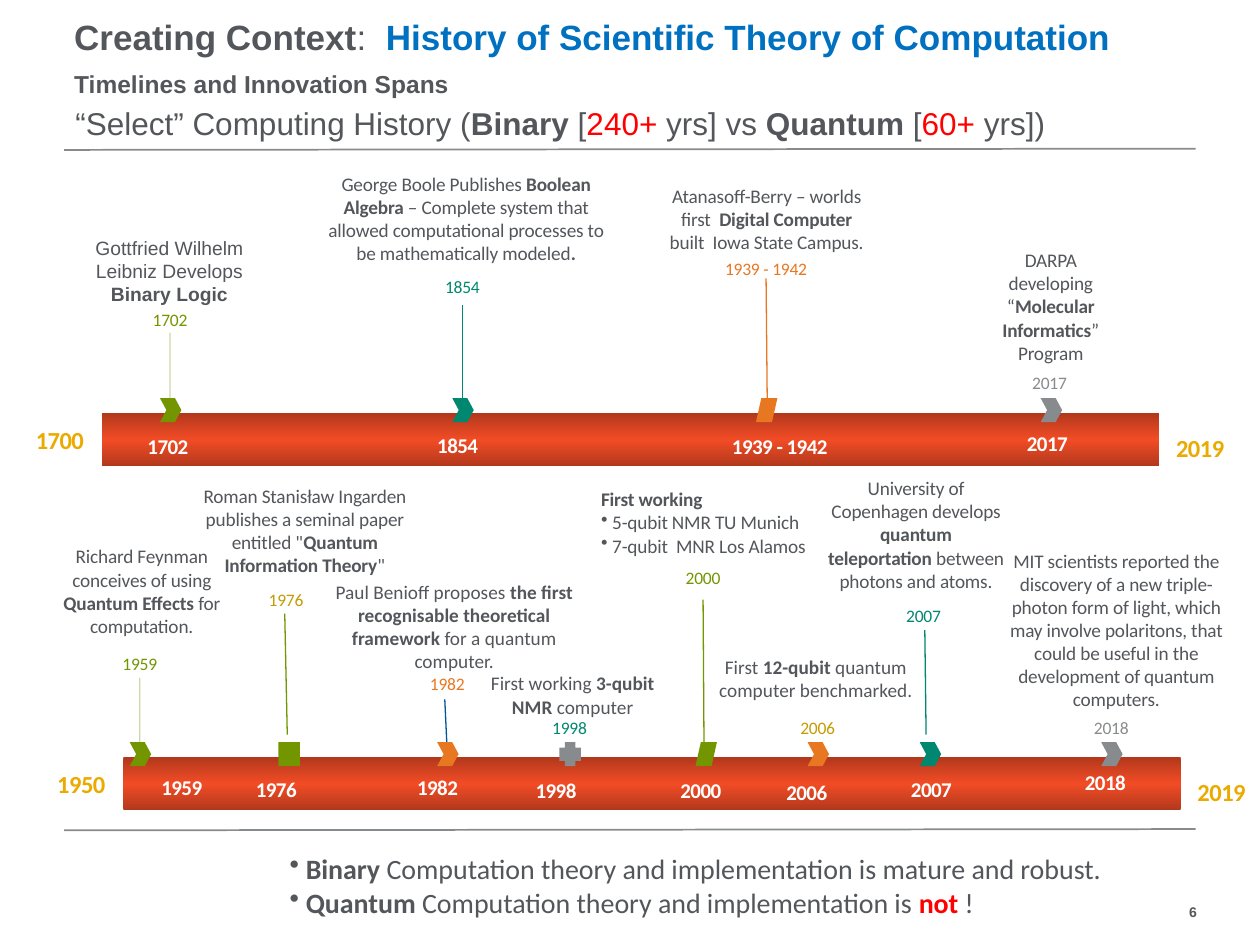
"""Build a slide with two timelines comparing binary and quantum computing history."""
import copy
from dataclasses import dataclass
from typing import NamedTuple, Optional

import lxml.etree
import pptx
import pptx.dml.color
import pptx.enum.shapes
import pptx.enum.text
import pptx.oxml.ns
import pptx.util

SHAPES = pptx.enum.shapes.MSO_SHAPE
ALIGN = pptx.enum.text.PP_ALIGN
ANCHOR = pptx.enum.text.MSO_ANCHOR
qn = pptx.oxml.ns.qn


@dataclass(frozen=True)
class Theme:
    """Colours, fonts and type sizes of the slide."""
    text: str = "53565A"
    red: str = "FF0000"
    blue: str = "0070C0"
    navy: str = "00549F"
    green: str = "739600"
    teal: str = "008770"
    orange: str = "E87722"
    gold: str = "C59B00"
    yellow: str = "EAAA00"
    grey: str = "888B8D"
    white: str = "FFFFFF"
    bar_edge: str = "B2381C"
    bar_middle: str = "F24C26"
    heading_font: str = "Arial"
    body_font: str = "Calibri"
    heading: float = 20
    title: float = 18
    conclusion: float = 16
    subheading: float = 14
    endpoint: float = 14
    label: float = 12
    caption: float = 11
    year: float = 10
    page: float = 8


THEME = Theme()


class Box(NamedTuple):
    """Left, top, width and height in inches."""
    left: float
    top: float
    width: float
    height: float


class Style(NamedTuple):
    """Type and layout settings of a text box."""
    size: float
    colour: str = THEME.text
    font: str = THEME.body_font
    bold: bool = False
    align: ALIGN = ALIGN.CENTER
    anchor: ANCHOR = ANCHOR.MIDDLE
    accent: str = THEME.red
    tracking: int = 0
    wrap: bool = True
    inset: bool = False
    spacing: Optional[float] = None


class Stem(NamedTuple):
    """Line from a year down to its marker."""
    start: tuple[float, float]
    end: tuple[float, float]
    colour: str
    opacity: int = 100


class Event(NamedTuple):
    """One dated entry of a timeline."""
    year: str
    caption: list[str]
    caption_box: Box
    year_at: tuple[float, float]
    label_at: tuple[float, float]
    marker_left: float
    colour: str
    stem: Optional[Stem] = None
    marker: SHAPES = SHAPES.CHEVRON
    marker_colour: Optional[str] = None
    caption_style: Style = Style(THEME.caption, tracking=-10)


class Timeline(NamedTuple):
    """A bar with its end years and events."""
    bar: Box
    first_year: str
    last_year: str
    events: list[Event]


ARIAL_CAPTION = Style(THEME.caption, font=THEME.heading_font)
LIST_CAPTION = Style(THEME.caption, align=ALIGN.LEFT, anchor=ANCHOR.TOP, tracking=-10)
ENDPOINT = Style(THEME.endpoint, THEME.yellow, bold=True, tracking=-30, wrap=False)
LABEL = Style(THEME.label, THEME.white, bold=True, align=ALIGN.LEFT, tracking=-30, wrap=False)
PAGE = Style(THEME.page, font=THEME.heading_font, bold=True, align=ALIGN.RIGHT, wrap=False)
CONCLUSION = Style(THEME.conclusion, align=ALIGN.LEFT, anchor=ANCHOR.TOP, wrap=False, inset=True)
TITLE = Style(THEME.title, font=THEME.heading_font, align=ALIGN.LEFT, anchor=ANCHOR.BOTTOM,
              inset=True, spacing=0.9)
HEADING = TITLE._replace(size=THEME.heading, accent=THEME.blue)

BINARY = Timeline(Box(0.81, 3.28, 8.39, 0.42), "1700", "2019", [
    Event("1702", ["Gottfried Wilhelm Leibniz Develops", "*Binary Logic*"], Box(0.52, 1.87, 1.65, 0.56),
          (1.35, 2.45), (1.17, 3.54), 1.27, THEME.green, Stem((1.35, 2.64), (1.35, 3.25), THEME.green, 35),
          caption_style=ARIAL_CAPTION),
    Event("1854", ["George Boole Publishes *Boolean Algebra *– Complete system that allowed computational "
                   "processes to be mathematically modeled*.*"], Box(2.55, 1.36, 2.3, 0.75),
          (3.67, 2.19), (3.47, 3.53), 3.59, THEME.teal, Stem((3.67, 2.42), (3.67, 3.25), THEME.teal)),
    Event("1939 - 1942", ["Atanasoff-Berry – worlds first  *Digital Computer *built  Iowa State Campus."],
          Box(5.26, 1.46, 1.65, 0.56), (6.08, 2.05), (5.81, 3.54), 6, THEME.orange,
          Stem((6.08, 2.21), (6.09, 3.25), THEME.orange), SHAPES.PARALLELOGRAM),
    Event("2017", ["DARPA developing “*Molecular Informatics*” Program"], Box(7.86, 1.99, 0.96, 0.88),
          (8.33, 2.95), (8.15, 3.52), 8.26, THEME.grey),
])

QUANTUM = Timeline(Box(0.98, 6.01, 8.39, 0.42), "1950", "2019", [
    Event("1959", ["Richard Feynman conceives of using *Quantum Effects *for computation."],
          Box(0.3, 4.32, 1.65, 0.74), (1.11, 5.18), (1.28, 6.25), 1.03, THEME.green,
          Stem((1.11, 5.38), (1.11, 5.98), THEME.green, 35)),
    Event("1976", ['Roman Stanisław Ingarden publishes a seminal paper entitled "*Quantum Information Theory*"'],
          Box(1.59, 3.84, 1.66, 0.74), (2.27, 4.67), (2.03, 6.26), 2.21, THEME.gold,
          Stem((2.26, 4.87), (2.28, 5.83), THEME.green), SHAPES.RECTANGLE, THEME.green),
    Event("1982", ["Paul Benioff proposes *the first recognisable theoretical framework* for a quantum computer."],
          Box(2.5, 4.6, 2.21, 0.74), (3.55, 5.34), (3.31, 6.25), 3.47, THEME.orange,
          Stem((3.53, 5.55), (3.55, 5.98), THEME.navy), caption_style=Style(THEME.caption)),
    Event("1998", ["First working *3-qubit*", "*NMR *computer"], Box(3.72, 5.33, 1.65, 0.37),
          (4.52, 5.69), (4.25, 6.27), 4.44, THEME.teal, None, SHAPES.CROSS, THEME.grey, Style(THEME.caption)),
    Event("2000", ["*First working*", "•5-qubit NMR TU Munich", "•7-qubit  MNR Los Alamos"],
          Box(4.77, 3.87, 1.75, 0.56), (5.58, 4.5), (5.4, 6.27), 5.52, THEME.green,
          Stem((5.58, 4.76), (5.59, 6.28), THEME.green), SHAPES.PARALLELOGRAM, caption_style=LIST_CAPTION),
    Event("2006", ["First *12-qubit *quantum computer benchmarked."], Box(5.65, 5.2, 1.65, 0.37),
          (6.49, 5.69), (6.24, 6.29), 6.41, THEME.gold, marker_colour=THEME.orange,
          caption_style=Style(THEME.caption)),
    Event("2007", ["University of Copenhagen develops *quantum teleportation* between photons and atoms."],
          Box(6.56, 3.8, 1.42, 0.88), (7.33, 4.8), (7.23, 6.26), 7.3, THEME.teal,
          Stem((7.34, 5), (7.35, 5.83), THEME.teal)),
    Event("2018", ["MIT scientists reported the discovery of a new triple-photon form of light, which may involve "
                   "polaritons, that could be useful in the development of quantum computers."],
          Box(7.95, 4.38, 1.82, 1.24), (8.82, 5.69), (8.61, 6.21), 8.74, THEME.grey),
])


def inches(value: float) -> pptx.util.Length:
    """Convert inches to a length in centimetres."""
    return pptx.util.Cm(value * 2.54)


def rgb(colour: str) -> pptx.dml.color.RGBColor:
    """Turn a hex string into a colour."""
    return pptx.dml.color.RGBColor.from_string(colour)


def write_paragraph(paragraph, markup: str, style: Style) -> None:
    """Fill a paragraph; *...* toggles bold, ^...^ the accent colour, a leading • makes a bullet."""
    properties = paragraph._p.get_or_add_pPr()
    paragraph.alignment = style.align
    if style.spacing:
        paragraph.line_spacing = style.spacing
    if markup.startswith("•"):
        hanging = pptx.util.Pt(style.size * 0.58)
        properties.set("marL", str(hanging))
        properties.set("indent", str(-hanging))
        lxml.etree.SubElement(properties, qn("a:buChar")).set("char", "•")
    font = paragraph.font
    font.name, font.size, font.bold = style.font, pptx.util.Pt(style.size), style.bold
    font.color.rgb = rgb(style.colour)
    properties.find(qn("a:defRPr")).set("spc", str(style.tracking))
    for bold_index, stretch in enumerate(markup.removeprefix("•").split("*")):
        for accent_index, text in enumerate(stretch.split("^")):
            if text:
                run = paragraph.add_run()
                run.text = text
                if bold_index % 2:
                    run.font.bold = True
                if accent_index % 2:
                    run.font.color.rgb = rgb(style.accent)


def add_text(slide, box: Box, paragraphs: list[str], style: Style):
    """Add a text box and return its frame."""
    frame = slide.shapes.add_textbox(*map(inches, box)).text_frame
    frame.word_wrap, frame.vertical_anchor = style.wrap, style.anchor
    if not style.inset:
        frame.margin_left = frame.margin_top = frame.margin_right = frame.margin_bottom = 0
    for index, markup in enumerate(paragraphs):
        write_paragraph(frame.add_paragraph() if index else frame.paragraphs[0], markup, style)
    return frame


def add_line(slide, stem: Stem, width: float = 0.75) -> None:
    """Draw a straight line, translucent where asked."""
    line = slide.shapes.add_connector(pptx.enum.shapes.MSO_CONNECTOR.STRAIGHT,
                                      *map(inches, stem.start + stem.end))
    line.line.width = pptx.util.Pt(width)
    line.line.color.rgb = rgb(stem.colour)
    properties = line._element.spPr
    if stem.opacity < 100:
        colour = properties.find(".//" + qn("a:srgbClr"))
        lxml.etree.SubElement(colour, qn("a:alpha")).set("val", str(stem.opacity * 1000))
    lxml.etree.SubElement(properties, qn("a:effectLst"))


def add_plain_shape(slide, kind: SHAPES, box: Box):
    """Add a preset shape without outline or shadow."""
    shape = slide.shapes.add_shape(kind, *map(inches, box))
    shape.shadow.inherit = False
    shape.line.fill.background()
    return shape


def add_bar(slide, box: Box) -> None:
    """Draw a bar that is brightest along its middle."""
    bar = add_plain_shape(slide, SHAPES.RECTANGLE, box)
    bar.fill.gradient()
    bar.fill.gradient_angle = 90
    for stop in bar.fill.gradient_stops:
        stop.color.rgb = rgb(THEME.bar_edge)
    edge = bar._element.spPr.find(".//" + qn("a:gs"))
    middle = copy.deepcopy(edge)
    middle.set("pos", "50000")
    middle.find(qn("a:srgbClr")).set("val", THEME.bar_middle)
    edge.addnext(middle)


def add_event(slide, event: Event, bar: Box) -> None:
    """Draw an event's caption, year, marker and bar label."""
    add_text(slide, event.caption_box, event.caption, event.caption_style)
    centre, top = event.year_at
    add_text(slide, Box(centre - 0.45, top, 0.9, 0.17), [event.year],
             Style(THEME.year, event.colour, tracking=-10))
    marker = add_plain_shape(slide, event.marker, Box(event.marker_left, bar.top - 0.12, 0.17, 0.19))
    marker.fill.solid()
    marker.fill.fore_color.rgb = rgb(event.marker_colour or event.colour)
    if event.marker == SHAPES.CHEVRON:
        marker.adjustments[0] = 0.3
    left, middle = event.label_at
    add_text(slide, Box(left, middle - 0.12, 0.1 + 0.066 * len(event.year), 0.24), [event.year], LABEL)


def add_timeline(slide, timeline: Timeline) -> None:
    """Draw stems, bar, end years and events."""
    bar = timeline.bar
    for event in timeline.events:
        if event.stem:
            add_line(slide, event.stem)
    add_bar(slide, bar)
    add_text(slide, Box(bar.left - 0.53, bar.top + 0.09, 0.39, 0.24), [timeline.first_year], ENDPOINT)
    add_text(slide, Box(bar.left + bar.width + 0.13, bar.top + 0.15, 0.39, 0.24), [timeline.last_year], ENDPOINT)
    for event in timeline.events:
        add_event(slide, event, bar)


def main() -> None:
    """Build and save the slide."""
    deck = pptx.Presentation()
    deck.slide_width, deck.slide_height = inches(10), inches(7.5)
    slide = deck.slides.add_slide(deck.slide_layouts[6])
    for rule_top in (1.18, 6.58):
        add_line(slide, Stem((0.51, rule_top + 0.01), (9.49, rule_top), THEME.grey), 1)
    heading = add_text(slide, Box(0.49, 0.03, 8.69, 0.8), [
        "*Creating Context*:  *^History of Scientific Theory of Computation^*"], HEADING)
    subheading = heading.add_paragraph()
    write_paragraph(subheading, "Timelines and Innovation Spans",
                    HEADING._replace(size=THEME.subheading, bold=True))
    subheading.space_before = pptx.util.Pt(8)
    add_text(slide, Box(0.5, 0.79, 8.1, 0.39), [
        "“Select” Computing History (*Binary* [^240+^ yrs] vs *Quantum* [^60+^ yrs])"], TITLE)
    for timeline in (BINARY, QUANTUM):
        add_timeline(slide, timeline)
    add_text(slide, Box(2.2, 6.71, 6.73, 0.64), [
        "•*Binary* Computation theory and implementation is mature and robust.",
        "•*Quantum* Computation theory and implementation is *^not^* !"], CONCLUSION)
    add_text(slide, Box(9, 7.12, 0.5, 0.23), ["6"], PAGE)
    deck.save("out.pptx")


if __name__ == "__main__":
    main()
